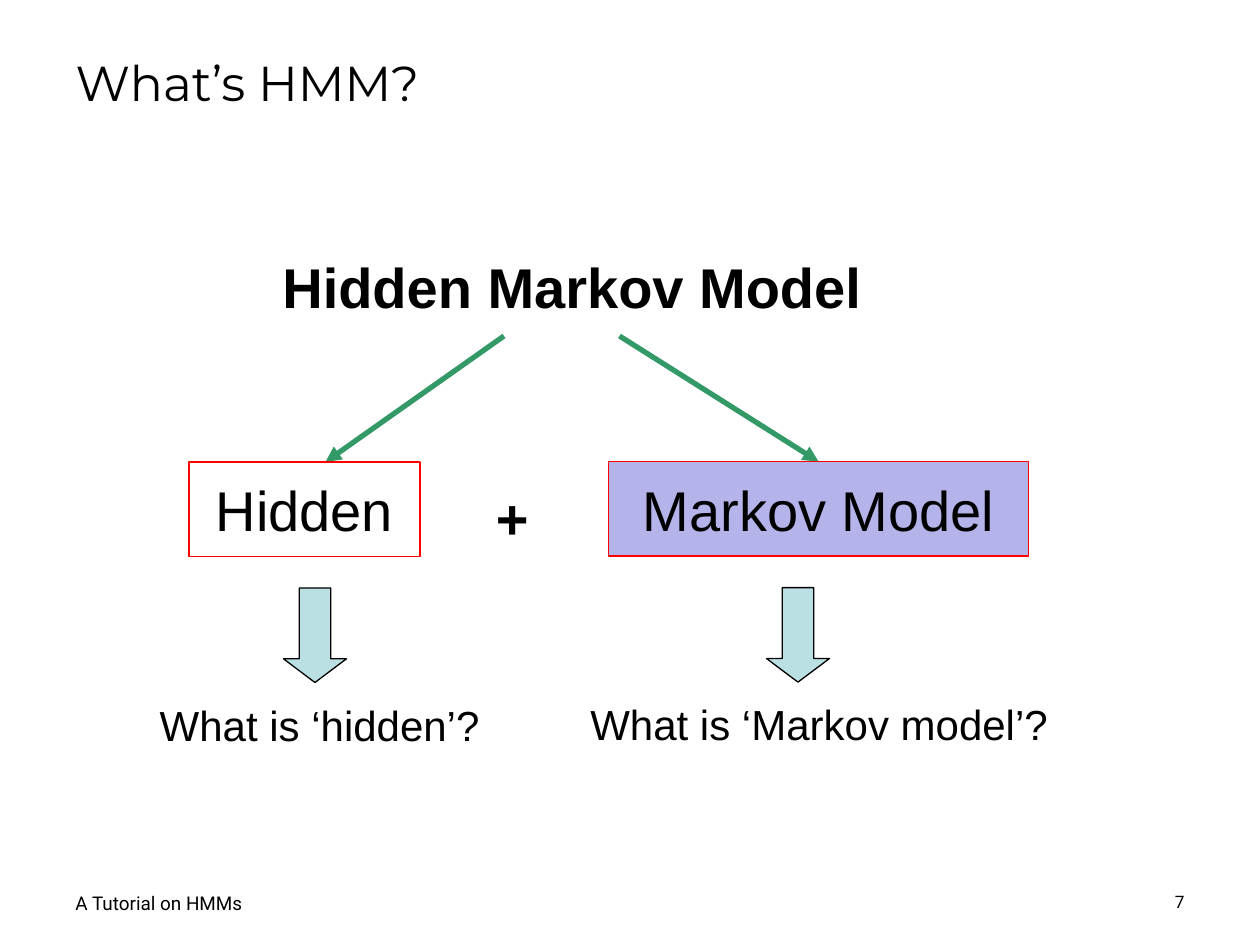
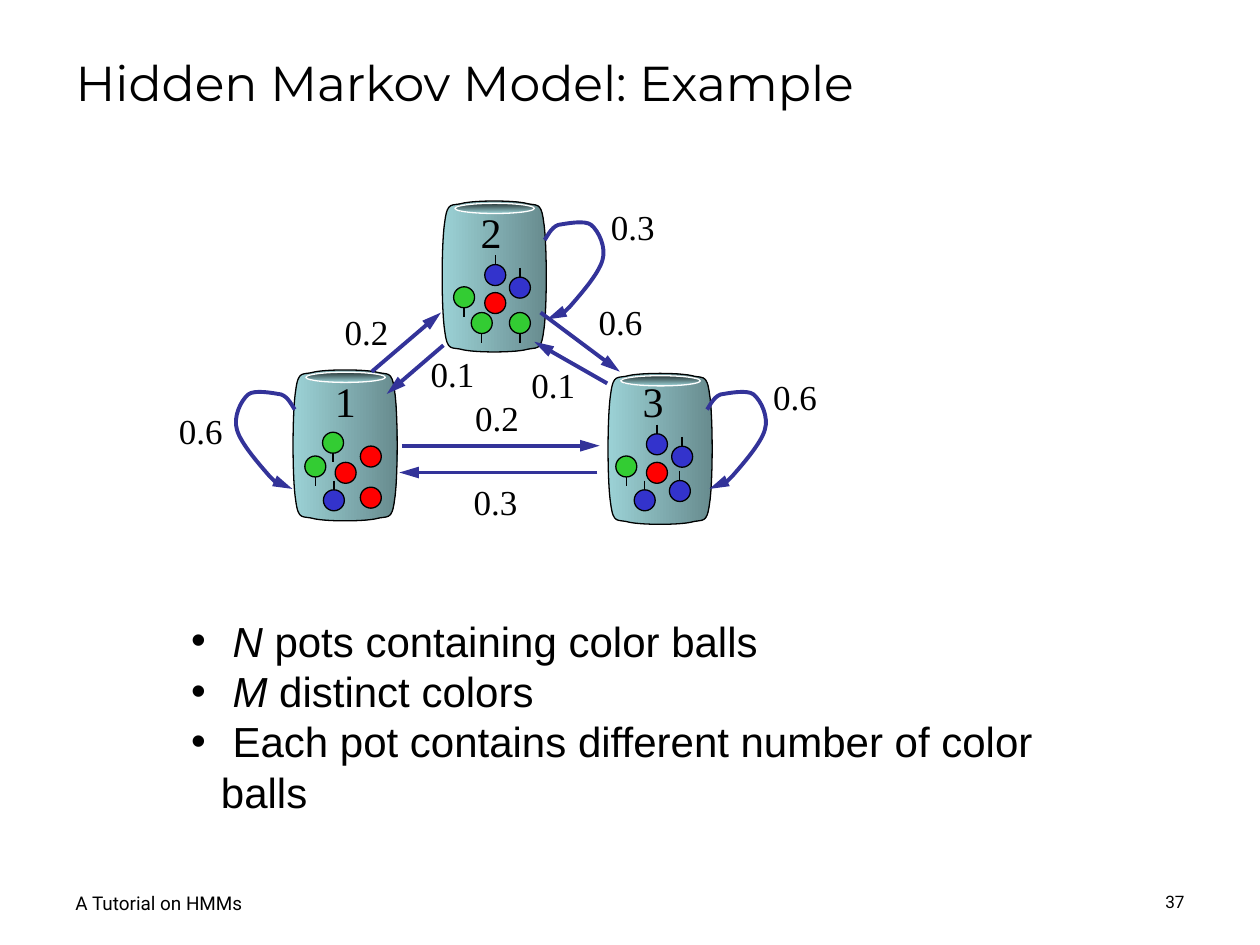
from lxml.etree import SubElement
from pptx import Presentation
from pptx.dml.color import RGBColor
from pptx.enum.shapes import MSO_CONNECTOR as Connector, MSO_SHAPE as Shape
from pptx.enum.text import MSO_ANCHOR as Anchor, PP_ALIGN as Align
from pptx.oxml.ns import qn
from pptx.util import Pt

COLORS = {
    "text": "000000", "outline": "000000", "box_line": "FF0000",
    "markov": "B4B4EB", "block_arrow": "BBE0E3", "split_arrow": "339966",
    "transition": "333399", "pot_light": "9CD2D6", "pot_dark": "678B8E",
    "mouth_dark": "283637", "mouth_line": "FFFFFF",
    "red": "FF0000", "green": "33CC33", "blue": "3333CC",
}
BODY, SERIF, TITLE, FOOTER = "Arial", "Times New Roman", "Montserrat", "Roboto"

POT_SIZE = (60.5, 87)
POT_TOP = [(2, 12.2), (3.6, 0), (5.8, 3.6), (13, 1.5), (20.9, 0),
           (39.6, 0), (47.5, 1.5), (54.7, 3.6), (56.9, 0), (58.5, 12.2)]
LOOP = [(0, 11.5), (1.4, 10), (3.6, 4.3), (7.9, 2.9), (12.2, 2.2),
        (23, 0), (26.6, 2.9), (31, 6.5), (35.3, 15.8), (33.1, 23),
        (31, 31), (19.4, 43.9), (14.4, 49.7), (8.6, 55.4), (5, 56.2), (1.4, 56.9)]
BALL = 12
STICK = 5.3


def rgb(name):
    return RGBColor.from_string(COLORS[name])


def write(frame, text, size=24, font=BODY, bold=False, align=Align.LEFT,
          anchor=Anchor.TOP, wrap=False, spacing=None, bullet_indent=None):
    """Fill a text frame; newlines split paragraphs and *stars* mark italics."""
    frame.word_wrap, frame.vertical_anchor = wrap, anchor
    for number, content in enumerate(text.split("\n")):
        paragraph = frame.add_paragraph() if number else frame.paragraphs[0]
        paragraph.alignment, paragraph.line_spacing = align, spacing
        if bullet_indent:
            properties = paragraph._p.get_or_add_pPr()
            properties.set("marL", str(Pt(bullet_indent)))
            properties.set("indent", str(-Pt(bullet_indent)))
            SubElement(properties, qn("a:buFont")).set("typeface", font)
            SubElement(properties, qn("a:buChar")).set("char", "•")
        for index, piece in enumerate(content.split("*")):
            if not piece:
                continue
            run = paragraph.add_run()
            run.text = piece
            run.font.size, run.font.name = Pt(size), font
            run.font.bold, run.font.italic = bold, index % 2 == 1
            run.font.color.rgb = rgb("text")


def label(slide, box, text, **style):
    frame = slide.shapes.add_textbox(*map(Pt, box)).text_frame
    write(frame, text, **style)


def paint(shape, fill=None, line="outline", width=0.75, angle=0):
    """Fill with one colour, a pair of gradient colours, or nothing."""
    shape.shadow.inherit = False
    if fill is None:
        shape.fill.background()
    elif isinstance(fill, tuple):
        shape.fill.gradient()
        shape.fill.gradient_angle = angle
        for stop, color in zip(shape.fill.gradient_stops, fill):
            stop.color.rgb = rgb(color)
    else:
        shape.fill.solid()
        shape.fill.fore_color.rgb = rgb(fill)
    shape.line.color.rgb, shape.line.width = rgb(line), Pt(width)


def draw(slide, kind, box, **style):
    shape = slide.shapes.add_shape(kind, *map(Pt, box))
    paint(shape, **style)
    return shape


def add_head(shape, length):
    tail = SubElement(shape._element.spPr.find(qn("a:ln")), qn("a:tailEnd"))
    for key, value in (("type", "triangle"), ("w", "med"), ("len", length)):
        tail.set(key, value)


def connect(slide, start, end, color="outline", width=0.75, head=None):
    line = slide.shapes.add_connector(Connector.STRAIGHT, *map(Pt, start + end))
    line.line.color.rgb, line.line.width = rgb(color), Pt(width)
    if head:
        add_head(line, head)
    SubElement(line._element.spPr, qn("a:effectLst"))
    return line


def trace(slide, controls, close):
    """Draw a chain of cubic Bezier curves, each sharing its end with the next."""
    points = [(Pt(x), Pt(y)) for x, y in controls]
    builder = slide.shapes.build_freeform(*points[0])
    builder.add_line_segments(points[1:], close=close)
    shape = builder.convert_to_shape()
    segments = list(shape._element.spPr.iter(qn("a:lnTo")))
    for first in range(0, len(segments), 3):
        curve, *others = segments[first:first + 3]
        curve.tag = qn("a:cubicBezTo")
        for segment in others:
            curve.append(segment[0])
            segment.getparent().remove(segment)
    return shape


def add_titled_slide(deck, title, page):
    slide = deck.slides.add_slide(deck.slide_layouts[5])
    heading = slide.shapes.title
    heading.left, heading.top, heading.width, heading.height = map(Pt, (36, 21.6, 648, 50.4))
    write(heading.text_frame, title, size=28, font=TITLE, anchor=Anchor.MIDDLE, wrap=True)
    footer = dict(font=FOOTER, spacing=0.8, wrap=True)
    label(slide, (36, 508.3, 168, 21), "A Tutorial on HMMs", size=10.8, **footer)
    label(slide, (516, 508.3, 168, 21), page, size=9.8, align=Align.RIGHT, **footer)
    return slide


def add_term(slide, box, term, fill, arrow_left, question, question_span):
    """Place a boxed term with a block arrow and its question below."""
    top = box[1]
    frame = draw(slide, Shape.RECTANGLE, box, fill=fill, line="box_line")
    write(frame.text_frame, term, size=32, align=Align.CENTER, anchor=Anchor.MIDDLE)
    arrow = draw(slide, Shape.DOWN_ARROW, (arrow_left, top + 72, 36, 54), fill="block_arrow")
    arrow.adjustments[0], arrow.adjustments[1] = 0.5, 0.375
    question_left, question_width = question_span
    label(slide, (question_left, top + 132, question_width, 36), question)
    return frame


def build_definition(deck):
    slide = add_titled_slide(deck, "What’s HMM?", "7")
    label(slide, (154.3, 140.7, 345.6, 46), "Hidden Markov Model", size=32, bold=True)
    label(slide, (276.3, 272.9, 33, 46), "+", size=32, bold=True)
    split = dict(color="split_arrow", width=3, head="med")
    connect(slide, (288, 192), (186, 264), **split)
    to_markov = connect(slide, (354, 192), (468, 264), **split)
    add_term(slide, (108, 264, 132, 54), "Hidden", None, 162,
             "What is ‘hidden’?", (84.2, 204))
    markov = add_term(slide, (347.8, 263.8, 240, 54), "Markov Model", "markov", 438,
                      "What is ‘Markov model’?", (330.3, 282))
    to_markov.end_connect(markov, 0)


def add_pot(slide, left, top, number, number_at, balls, loop_at, loop_side):
    """Draw a numbered pot, its balls and its self-transition loop.

    Blue balls hang from a stick, green ones stand on one.
    loop_side is 1 for a loop on the right and -1 on the left.
    """
    width, height = POT_SIZE
    rim = POT_TOP + [(width, 24.5), (width, height - 24.5)]
    base = [(x, height - y) for x, y in reversed(POT_TOP)]
    side = [(0, height - 24.5), (0, 24.5), POT_TOP[0]]
    outline = [(left + x, top + y) for x, y in rim + base + side]
    paint(trace(slide, outline, True), fill=("pot_light", "pot_dark"))
    draw(slide, Shape.OVAL, (left + 7.8, top + 1.7, 45.4, 5.8),
         fill=("mouth_dark", "pot_light"), line="mouth_line", angle=270)
    for color, x, y in balls:
        x, y = left + x, top + y
        draw(slide, Shape.OVAL, (x, y, BALL, BALL), fill=color)
        if color != "red":
            stick_top = y + BALL if color == "green" else y - STICK
            middle = x + BALL / 2
            connect(slide, (middle, stick_top), (middle, stick_top + STICK))
    label(slide, (left + number_at[0], top + number_at[1], 26, 36), number, font=SERIF)
    loop_left, loop_top = left + loop_at[0], top + loop_at[1]
    loop = trace(slide, [(loop_left + loop_side * x, loop_top + y) for x, y in LOOP], False)
    paint(loop, line="transition", width=2.25)
    add_head(loop, "lg")


def add_pot_diagram(slide, left, top):
    pots = [
        (0, 96.5, "1", (17.3, 0),
         [("red", 24.5, 53.2), ("red", 38.9, 67.4), ("green", 7.2, 49.6),
          ("red", 38.9, 43.9), ("blue", 17.8, 68.9), ("green", 17.3, 36)],
         (1.5, 11.5), -1),
        (85.2, 0, "2", (15.4, 0),
         [("red", 24.8, 52.7), ("green", 7, 49.4), ("blue", 24.8, 36.7),
          ("blue", 38.9, 43.9), ("green", 17.1, 64.1), ("green", 38.9, 64.1)],
         (59, 11.1), 1),
        (180, 98.5, "3", (13.2, -2),
         [("red", 22.4, 51.2), ("green", 4.9, 47.6), ("blue", 22.4, 34.9),
          ("blue", 36.8, 42), ("blue", 15.4, 66.9), ("blue", 35.5, 61.6)],
         (57, 9.5), 1),
    ]
    for x, y, *details in pots:
        add_pot(slide, left + x, top + y, *details)

    transitions = [
        (62.7, 140.2, 175.7, 140.2), (174.3, 155.5, 61.2, 155.5),
        (45.4, 97.9, 85, 64.1), (86.4, 82.8, 54, 110.6),
        (141.9, 64.1, 187.2, 97.9), (180, 104.6, 138.3, 80.8),
    ]
    for x1, y1, x2, y2 in transitions:
        connect(slide, (left + x1, top + y1), (left + x2, top + y2),
                color="transition", width=2.25, head="lg")

    probabilities = [
        ("0.6", -71.8, 116.2), ("0.3", 175, -0.7), ("0.6", 267.7, 96.5),
        ("0.2", 97.4, 108.7), ("0.3", 96.5, 156.6), ("0.2", 22.9, 59.3),
        ("0.1", 72, 83.5), ("0.6", 168, 53.6), ("0.1", 129.6, 89.6),
    ]
    for value, x, y in probabilities:
        label(slide, (left + x, top + y, 39.6, 31.7), value, size=20, font=SERIF)


def build_example(deck):
    slide = add_titled_slide(deck, "Hidden Markov Model: Example", "37")
    add_pot_diagram(slide, 167, 114.5)
    facts = (" *N* pots containing color balls\n *M* distinct colors\n"
             " Each pot contains different number of color balls")
    label(slide, (102.2, 348, 542.9, 93.6), facts, wrap=True, bullet_indent=17)


def main():
    deck = Presentation()
    deck.slide_width, deck.slide_height = Pt(720), Pt(540)
    build_definition(deck)
    build_example(deck)
    deck.save("out.pptx")


if __name__ == "__main__":
    main()
